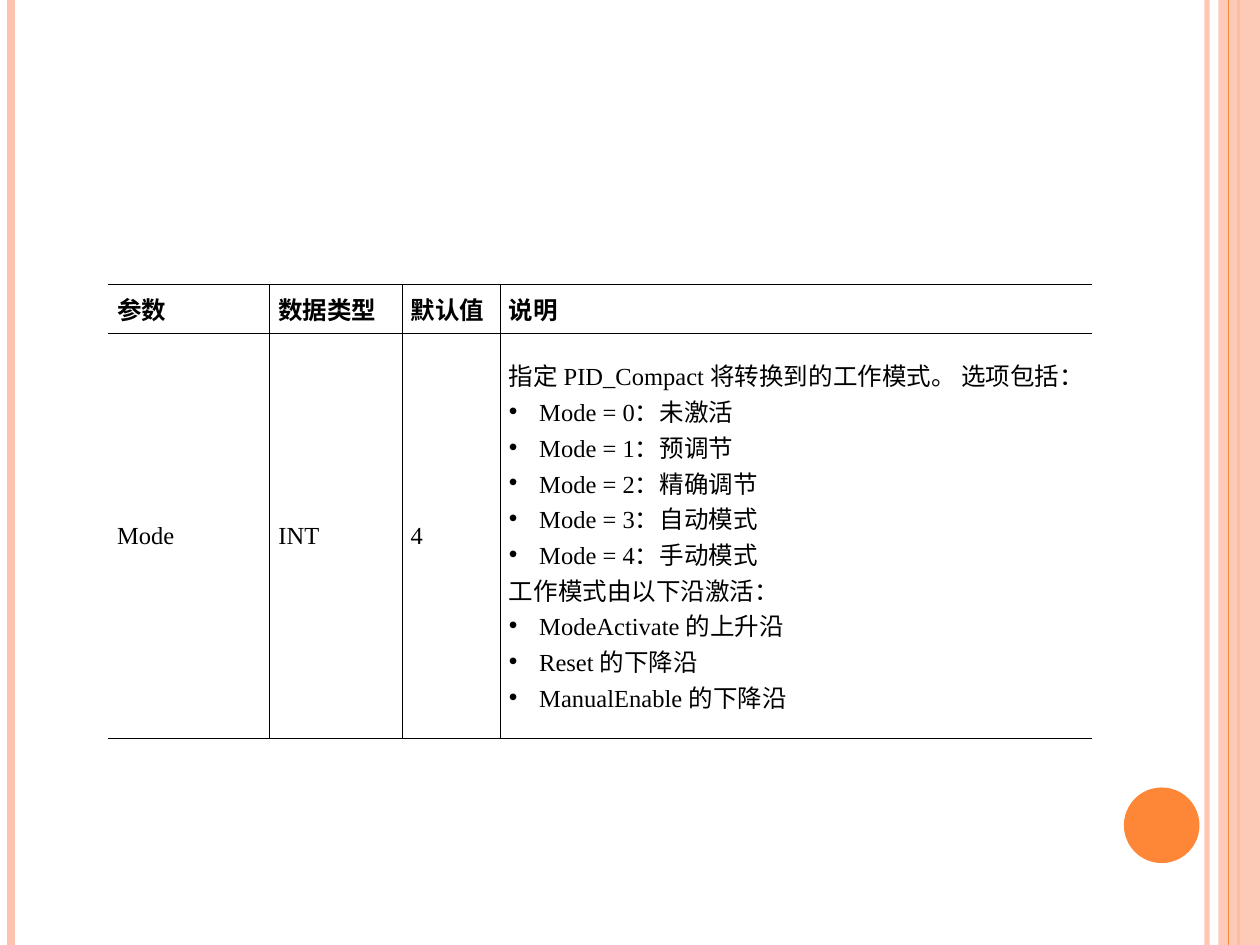
from pptx import Presentation
from pptx.dml.color import RGBColor
from pptx.enum import shapes, text
from pptx.oxml.ns import qn
from pptx.util import Inches, Pt
from lxml import etree

COLORS = {"ink": "000000", "peach": "FEC3AE", "orange": "FE8637"}
FONT = "Times New Roman"
HEADERS = ["参数", "数据类型", "默认值", "说明"]
DESCRIPTION = [
    "指定 PID_Compact 将转换到的工作模式。 选项包括：",
    ["Mode = 0：未激活", "Mode = 1：预调节", "Mode = 2：精确调节",
     "Mode = 3：自动模式", "Mode = 4：手动模式"],
    "工作模式由以下沿激活：",
    ["ModeActivate 的上升沿", "Reset 的下降沿", "ManualEnable 的下降沿"],
]
ROWS = [[[header] for header in HEADERS], [["Mode"], ["INT"], ["4"], DESCRIPTION]]
COLUMN_WIDTHS = [1.28, 1.05, 0.78, 4.7]
RIGHT_MARGINS = [0.07, 0.07, 0.07, 0.2]
ROW_HEIGHTS = [0.23, 2.34]
BACK_STRIPES = [(9.58, "peach", 3, 93), (0.09, "peach", 4.5, 100), (9.83, "orange", 1.5, 100)]
FRONT_STRIPES = [(9.75, "orange", 0.75, 100)]
BULLET_INDENT = Inches(0.24)


def rgb(name):
    """Return a palette colour."""
    return RGBColor.from_string(COLORS[name])


def add(parent, tag, **attributes):
    """Append a DrawingML element."""
    return etree.SubElement(parent, qn(tag), {k: str(v) for k, v in attributes.items()})


def set_alpha(shape, percent):
    """Make the colour of a shape translucent."""
    color = next(shape._element.spPr.iter(qn("a:srgbClr")))
    add(color, "a:alpha", val=percent * 1000)


def add_stripes(slide, stripes):
    """Draw vertical lines over the full slide height."""
    for x, color, width, opacity in stripes:
        stripe = slide.shapes.add_connector(
            shapes.MSO_CONNECTOR.STRAIGHT, Inches(x), 0, Inches(x), Inches(7.5))
        stripe.line.color.rgb = rgb(color)
        stripe.line.width = Pt(width)
        if opacity < 100:
            set_alpha(stripe, opacity)
        add(stripe._element.spPr, "a:effectLst")


def add_block(slide, kind, color, *box):
    """Draw a plain filled shape."""
    block = slide.shapes.add_shape(kind, *map(Inches, box))
    block.shadow.inherit = False
    block.fill.solid()
    block.fill.fore_color.rgb = rgb(color)
    block.line.fill.background()
    return block


def set_borders(cell, first, last):
    """Rule a cell on every side except the outer left and right."""
    properties = cell._tc.get_or_add_tcPr()
    for side, visible in (("L", not first), ("R", not last), ("T", True), ("B", True)):
        border = add(properties, f"a:ln{side}", w=Pt(0.45))
        if visible:
            add(add(border, "a:solidFill"), "a:srgbClr", val=COLORS["ink"])
        else:
            add(border, "a:noFill")


def fill_cell(cell, content, bold):
    """Write paragraphs, with nested lists as bullets."""
    lines = []
    for item in content:
        bulleted = isinstance(item, list)
        lines += [(line, bulleted) for line in (item if bulleted else [item])]
    frame = cell.text_frame
    for index, (line, bulleted) in enumerate(lines):
        paragraph = frame.add_paragraph() if index else frame.paragraphs[0]
        paragraph.text = line
        if bulleted:
            properties = paragraph._p.get_or_add_pPr()
            properties.set("marL", str(BULLET_INDENT))
            properties.set("indent", str(-BULLET_INDENT))
            add(add(properties, "a:buClr"), "a:srgbClr", val=COLORS["ink"])
            add(properties, "a:buFont", typeface="Arial")
            add(properties, "a:buChar", char="•")
        font = paragraph.font
        font.name, font.size, font.bold = FONT, Pt(14), bold
        font.color.rgb = rgb("ink")


def add_parameters(slide):
    """Add the parameter table."""
    parameters = slide.shapes.add_table(
        len(ROWS), len(HEADERS), Inches(0.86), Inches(2.26),
        Inches(sum(COLUMN_WIDTHS)), Inches(sum(ROW_HEIGHTS))).table
    parameters.first_row = parameters.horz_banding = False
    for column, width in zip(parameters.columns, COLUMN_WIDTHS):
        column.width = Inches(width)
    for r, (row, height) in enumerate(zip(ROWS, ROW_HEIGHTS)):
        parameters.rows[r].height = Inches(height)
        for c, content in enumerate(row):
            cell = parameters.cell(r, c)
            cell.vertical_anchor = text.MSO_ANCHOR.MIDDLE
            cell.margin_left = Inches(0.07)
            cell.margin_right = Inches(RIGHT_MARGINS[c])
            cell.margin_top = cell.margin_bottom = Inches(0.05)
            set_borders(cell, c == 0, c == len(row) - 1)
            cell.fill.background()
            fill_cell(cell, content, r == 0)


def main():
    """Build the slide."""
    deck = Presentation()
    deck.slide_width, deck.slide_height = Inches(10), Inches(7.5)
    slide = deck.slides.add_slide(deck.slide_layouts[6])
    add_stripes(slide, BACK_STRIPES)
    band = add_block(slide, shapes.MSO_SHAPE.RECTANGLE, "peach", 9.67, 0, 0.33, 7.5)
    set_alpha(band, 87)
    add_stripes(slide, FRONT_STRIPES)
    add_block(slide, shapes.MSO_SHAPE.OVAL, "orange", 8.92, 6.25, 0.6, 0.6)
    add_parameters(slide)
    deck.save("out.pptx")


if __name__ == "__main__":
    main()
